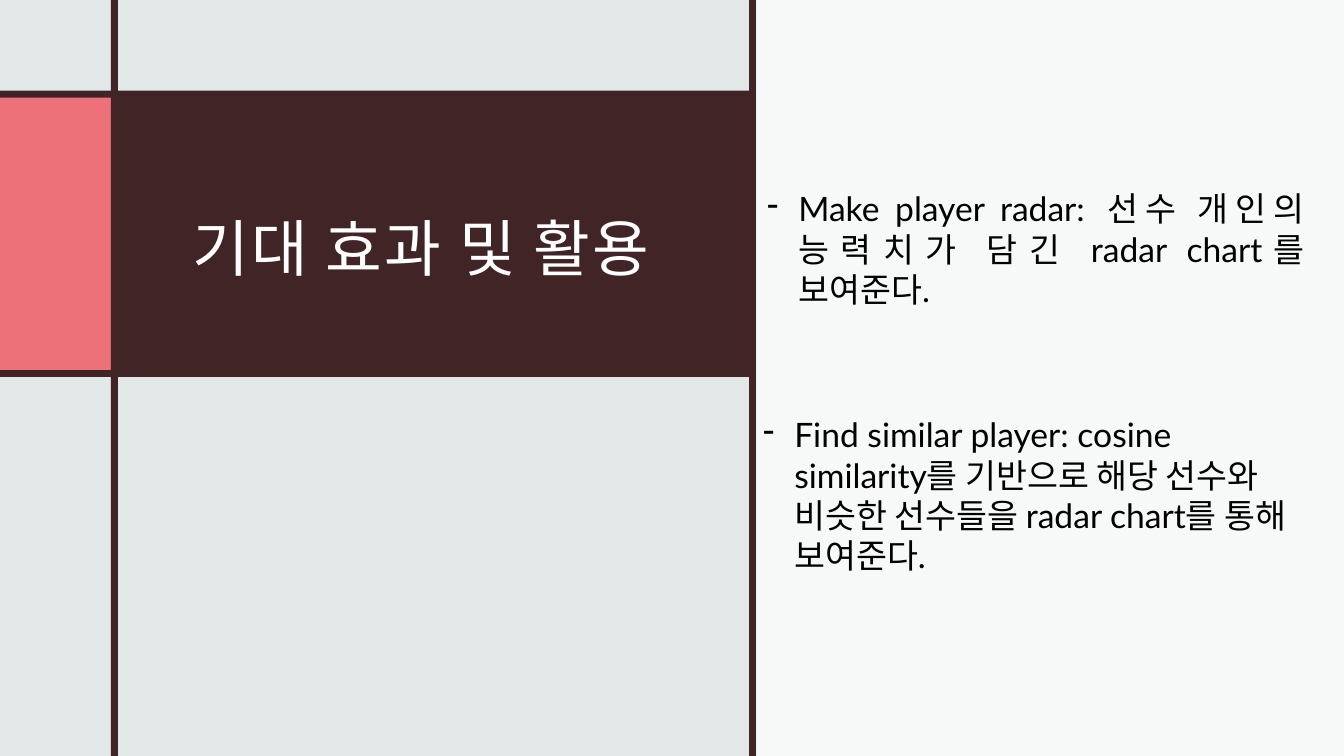
from dataclasses import dataclass

from lxml import etree
from pptx import Presentation
from pptx.dml.color import RGBColor
from pptx.enum.shapes import MSO_SHAPE
from pptx.enum.text import MSO_ANCHOR, MSO_AUTO_SIZE, PP_ALIGN
from pptx.oxml.ns import qn
from pptx.util import Inches

from pptx.util import Pt

RECTANGLE = MSO_SHAPE.RECTANGLE
LEFT, JUSTIFY = PP_ALIGN.LEFT, PP_ALIGN.JUSTIFY
TOP, MIDDLE = MSO_ANCHOR.TOP, MSO_ANCHOR.MIDDLE
NO_FIT, GROW = MSO_AUTO_SIZE.NONE, MSO_AUTO_SIZE.SHAPE_TO_FIT_TEXT


@dataclass(frozen=True)
class Theme:
    font: str = "Lato"
    mist: str = "E2E8E8"
    maroon: str = "412426"
    coral: str = "EC7179"
    white: str = "FFFFFF"
    black: str = "000000"
    title_size: int = 44
    body_size: int = 24


THEME = Theme()


def add_panel(left, top, width, height, color, opacity=100):
    panel = slide.shapes.add_shape(
        RECTANGLE, Inches(left), Inches(top), Inches(width), Inches(height))
    panel.shadow.inherit = False
    panel.line.fill.background()
    panel.fill.solid()
    panel.fill.fore_color.rgb = RGBColor.from_string(color)
    if opacity < 100:
        solid = panel.fill._xPr.find(qn("a:solidFill"))
        etree.SubElement(solid[0], qn("a:alpha"), val=str(opacity * 1000))


def write_text(shape, text, *, size, color, align=LEFT, anchor=TOP, fit=GROW,
               line_spacing=1.0, letter_spacing=0, bullet=None, indent=0.31):
    frame = shape.text_frame
    frame.word_wrap = True
    frame.auto_size = fit
    frame.vertical_anchor = anchor
    paragraph = frame.paragraphs[0]
    paragraph.alignment = align
    paragraph.line_spacing = line_spacing
    if bullet:
        properties = paragraph._p.get_or_add_pPr()
        properties.set("marL", str(Inches(indent)))
        properties.set("indent", str(-Inches(indent)))
        etree.SubElement(properties, qn("a:buFontTx"))
        etree.SubElement(properties, qn("a:buChar"), char=bullet)
    run = paragraph.add_run()
    run.text = text
    run.font.name = THEME.font
    run.font.size = Pt(size)
    run.font.color.rgb = RGBColor.from_string(color)
    if letter_spacing:
        run.font._rPr.set("spc", str(int(letter_spacing * 100)))


presentation = Presentation()
presentation.slide_width = Inches(13.33)
presentation.slide_height = Inches(7.5)
slide = presentation.slides.add_slide(presentation.slide_layouts[5])
slide.background.fill.solid()
slide.background.fill.fore_color.rgb = RGBColor.from_string(THEME.mist)

# Title band, accent and vertical rules
add_panel(0, 0.9, 7.43, 2.84, THEME.maroon)
add_panel(0, 0.97, 1.17, 2.7, THEME.coral)
for rule_left in (1.1, 7.43):
    add_panel(rule_left, 0, 0.07, 7.5, THEME.maroon)
add_panel(7.5, 0, 5.83, 7.5, THEME.white, opacity=75)

# Title, brought in front of its band
title = slide.shapes.title
title.left, title.top = Inches(1.79), Inches(1.16)
title.width, title.height = Inches(5.19), Inches(2.38)
title_frame = title.text_frame
title_frame.margin_left = title_frame.margin_right = Inches(0.12)
title_frame.margin_top, title_frame.margin_bottom = Inches(0.12), Inches(0.1)
write_text(title, "기대 효과 및 활용", size=THEME.title_size, color=THEME.white,
           anchor=MIDDLE, fit=NO_FIT, line_spacing=1.25, letter_spacing=1.5)
slide.shapes._spTree.append(title._element)

# Expected uses
uses = [
    (7.51, 1.82, 5.53, 1.3, JUSTIFY,
     "Make player radar: 선수 개인의 능력치가 담긴 radar chart를 보여준다."),
    (7.47, 4.06, 5.43, 1.72, LEFT,
     "Find similar player: cosine similarity를 기반으로 해당 선수와 "
     "비슷한 선수들을 radar chart를 통해 보여준다."),
]
for left, top, width, height, align, use in uses:
    use_box = slide.shapes.add_textbox(
        Inches(left), Inches(top), Inches(width), Inches(height))
    write_text(use_box, use, size=THEME.body_size, color=THEME.black,
               align=align, bullet="-")

presentation.save("out.pptx")
